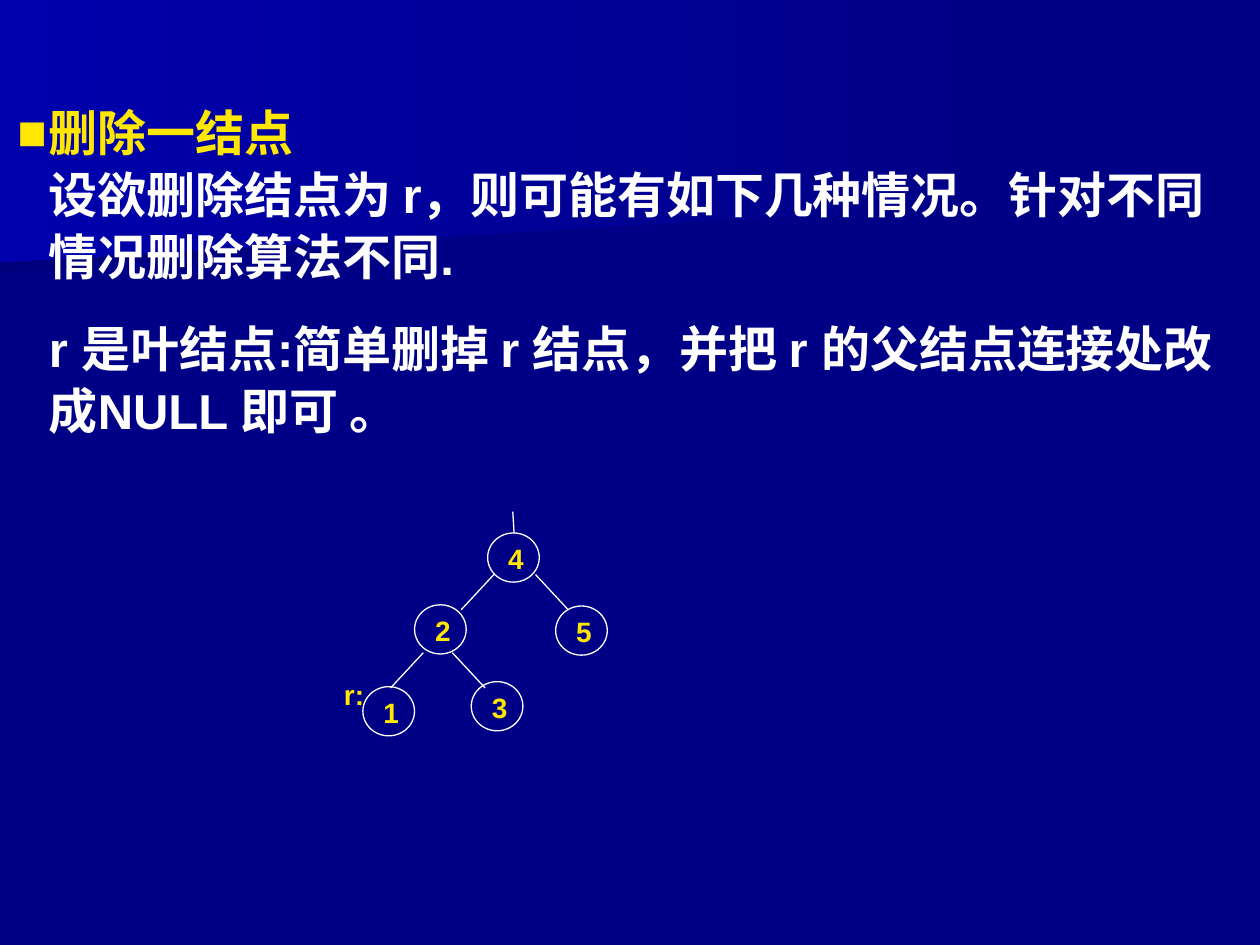
import pptx
import pptx.dml.color
import pptx.enum.shapes
import pptx.enum.text
import pptx.oxml
import pptx.oxml.ns
import pptx.util
from pptx.util import Inches

NAVY = pptx.dml.color.RGBColor(0x00, 0x00, 0x86)
DARK_NAVY = pptx.dml.color.RGBColor(0x00, 0x00, 0x7D)
BRIGHT_BLUE = pptx.dml.color.RGBColor(0x00, 0x00, 0xAC)
YELLOW = pptx.dml.color.RGBColor(0xFF, 0xE7, 0x01)
WHITE = pptx.dml.color.RGBColor(0xFF, 0xFF, 0xFF)

NODE_WIDTH, NODE_HEIGHT = 0.41, 0.39
NODES = [("4", 3.87, 4.23), ("2", 3.29, 4.8), ("5", 4.41, 4.81),
         ("1", 2.88, 5.45), ("3", 3.74, 5.41)]
EDGES = [(3.92, 4.56, 3.66, 4.84), (4.25, 4.56, 4.51, 4.84),
         (3.36, 5.18, 3.1, 5.46), (3.59, 5.18, 3.85, 5.46),
         (4.07, 4.06, 4.08, 4.23)]


def add_band(slide, points, left_color):
    """Draw a background band that fades from left_color to navy."""
    corners = [(Inches(x), Inches(y)) for x, y in points]
    builder = slide.shapes.build_freeform(*corners[0])
    builder.add_line_segments(corners[1:], close=True)
    band = builder.convert_to_shape()
    band.shadow.inherit = False
    band.line.fill.background()
    band.fill.gradient()
    band.fill.gradient_angle = 180
    for stop, color in zip(band.fill.gradient_stops, (NAVY, left_color)):
        stop.color.rgb = color


def add_run(paragraph, text, size, color):
    """Append a bold Arial run to a paragraph."""
    run = paragraph.add_run()
    run.text = text
    run.font.name = "Arial"
    run.font.size = pptx.util.Pt(size)
    run.font.bold = True
    run.font.color.rgb = color


def add_bullet(paragraph, symbol, color):
    """Give a paragraph a hanging coloured bullet."""
    properties = paragraph._p.get_or_add_pPr()
    properties.set("indent", str(Inches(-0.25)))
    for tag in (f'buClr><a:srgbClr val="{color}"/></a:buClr',
                'buFont typeface="Arial"/', f'buChar char="{symbol}"/'):
        name = tag.split(">")[0].rstrip("/")
        body = tag.split(">", 1)[1] if ">" in tag else ""
        namespace = pptx.oxml.ns.nsdecls("a")
        markup = f"<a:{name} {namespace}>{body}>" if body else f"<a:{name} {namespace}/>"
        properties.append(pptx.oxml.parse_xml(markup))


def add_explanation(slide):
    """Add the heading and the two explanatory paragraphs."""
    box = slide.shapes.add_textbox(Inches(0), Inches(0.74), Inches(10), Inches(2.8))
    frame = box.text_frame
    frame.word_wrap = True
    frame.auto_size = pptx.enum.text.MSO_AUTO_SIZE.SHAPE_TO_FIT_TEXT
    frame.vertical_anchor = pptx.enum.text.MSO_ANCHOR.MIDDLE
    deletion, leaf_case = frame.paragraphs[0], frame.add_paragraph()
    for paragraph in (deletion, leaf_case):
        paragraph.line_spacing = 1.05
        paragraph.space_after = pptx.util.Pt(17.5)
        properties = paragraph._p.get_or_add_pPr()
        properties.set("marL", str(Inches(0.29)))
        properties.set("indent", "0")
    add_bullet(deletion, "■", YELLOW)
    add_run(deletion, "删除一结点", 28, YELLOW)
    deletion.add_line_break()
    add_run(deletion, "设欲删除结点为 r，则可能有如下几种情况。针对不同情况删除算法不同.", 28, WHITE)
    add_run(leaf_case, "r 是叶结点:简单删掉 r 结点，并把 r 的父结点连接处改成NULL 即可 。", 28, WHITE)


def add_label(shapes, text, left, top, width, alignment):
    """Add a small yellow tree label."""
    box = shapes.add_textbox(Inches(left), Inches(top), Inches(width), Inches(0.32))
    frame = box.text_frame
    frame.word_wrap = True
    frame.margin_left = frame.margin_right = Inches(0.01)
    frame.margin_top = frame.margin_bottom = Inches(0.01)
    paragraph = frame.paragraphs[0]
    paragraph.alignment = alignment
    add_run(paragraph, text, 16, YELLOW)


def add_node(slide, key, left, top):
    """Add a tree node as a grouped label and circle."""
    shapes = slide.shapes.add_group_shape().shapes
    add_label(shapes, key, left + 0.02, top + 0.06, NODE_WIDTH,
              pptx.enum.text.PP_ALIGN.CENTER)
    circle = shapes.add_shape(pptx.enum.shapes.MSO_SHAPE.OVAL, Inches(left),
                              Inches(top), Inches(NODE_WIDTH), Inches(NODE_HEIGHT))
    circle.shadow.inherit = False
    circle.fill.background()
    circle.line.color.rgb = WHITE
    circle.line.width = pptx.util.Pt(0.75)


def add_edge(slide, *ends):
    """Add a thin white tree edge."""
    edge = slide.shapes.add_connector(pptx.enum.shapes.MSO_CONNECTOR.STRAIGHT,
                                      *(Inches(end) for end in ends))
    edge.line.color.rgb = WHITE
    edge.line.width = pptx.util.Pt(0.75)
    namespace = pptx.oxml.ns.nsdecls("a")
    edge._element.spPr.append(pptx.oxml.parse_xml(f"<a:effectLst {namespace}/>"))


def main():
    """Build the slide on deleting a tree node."""
    presentation = pptx.Presentation()
    presentation.slide_width = Inches(10)
    presentation.slide_height = Inches(7.5)
    slide = presentation.slides.add_slide(presentation.slide_layouts[6])
    slide.background.fill.solid()
    slide.background.fill.fore_color.rgb = NAVY
    add_band(slide, [(7.78, 1.53), (0, 2.17), (0, 1.01), (7.79, 1.01), (7.78, 1.28)],
             DARK_NAVY)
    add_band(slide, [(7.92, 1.62), (0, 2.08), (0, 0), (7.92, 0)], BRIGHT_BLUE)
    add_explanation(slide)
    for node in NODES:
        add_node(slide, *node)
    for edge in EDGES:
        add_edge(slide, *edge)
    add_label(slide.shapes, "r:", 2.72, 5.37, 0.24, pptx.enum.text.PP_ALIGN.JUSTIFY)
    presentation.save("out.pptx")


if __name__ == "__main__":
    main()
